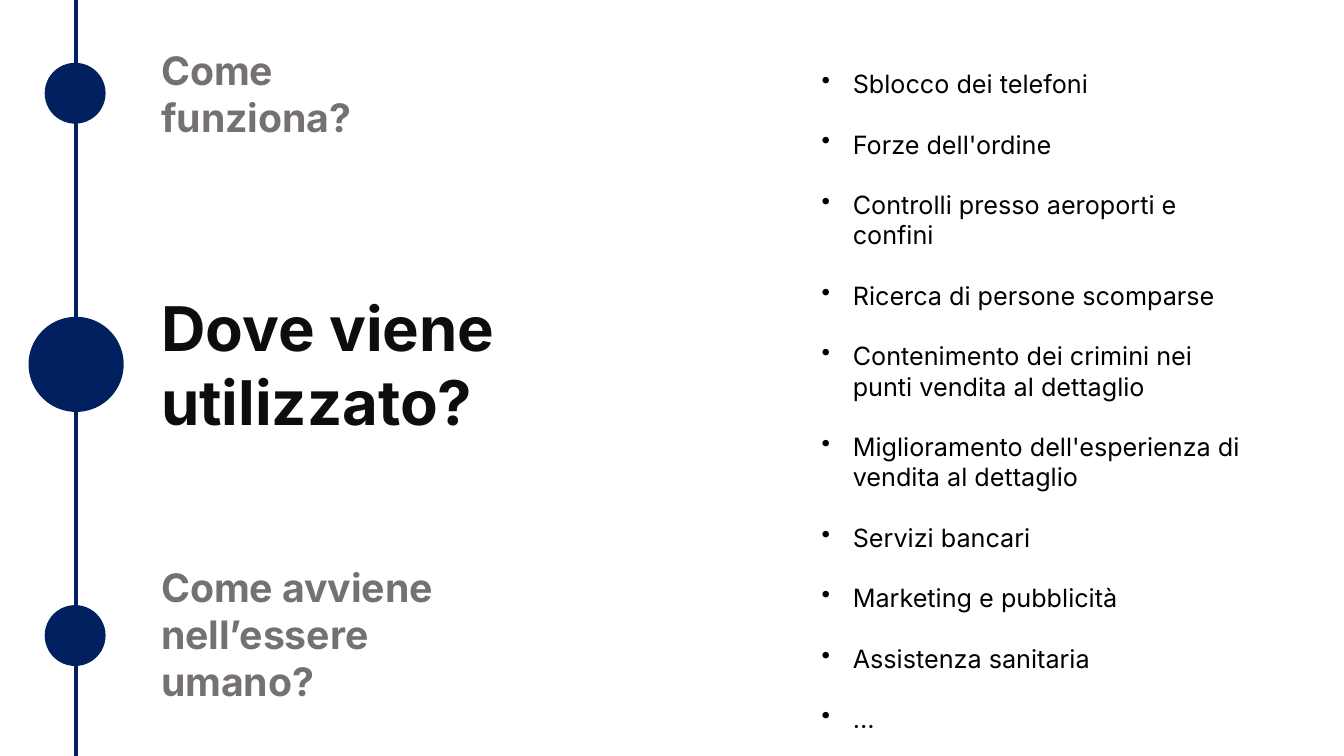
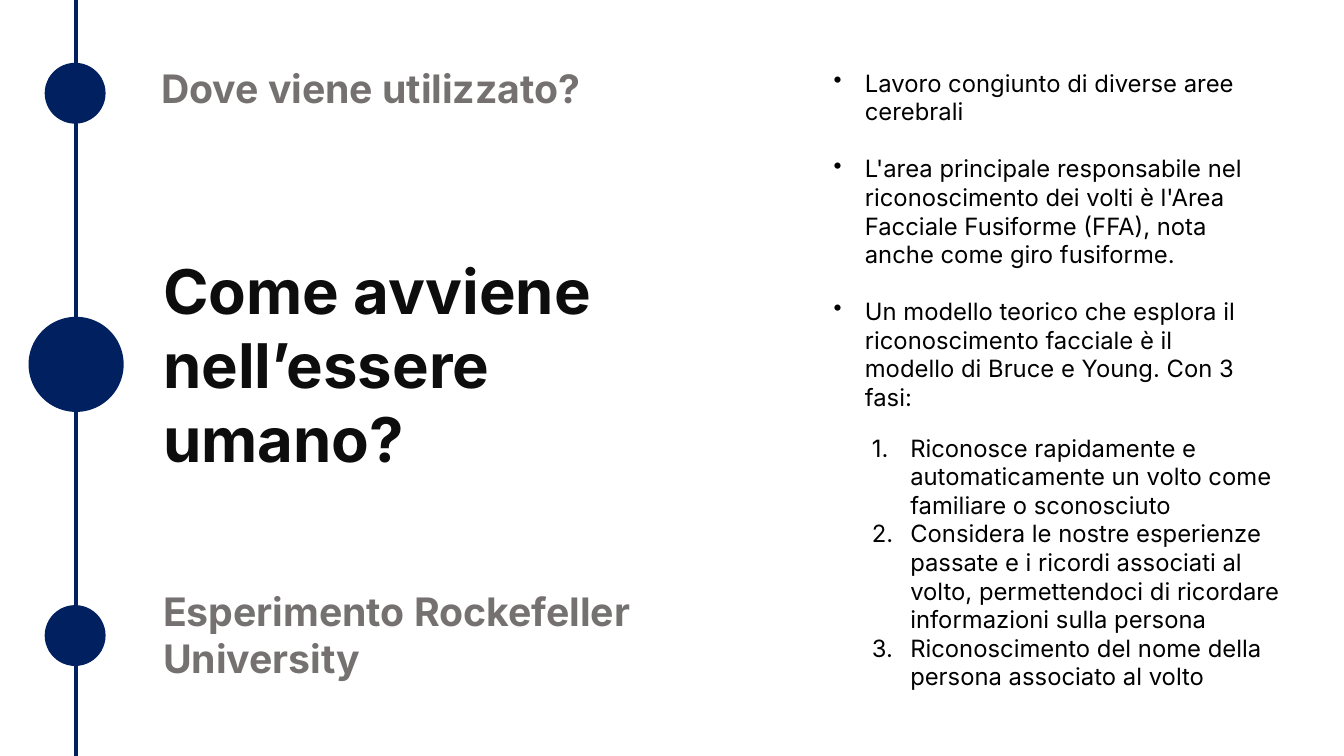
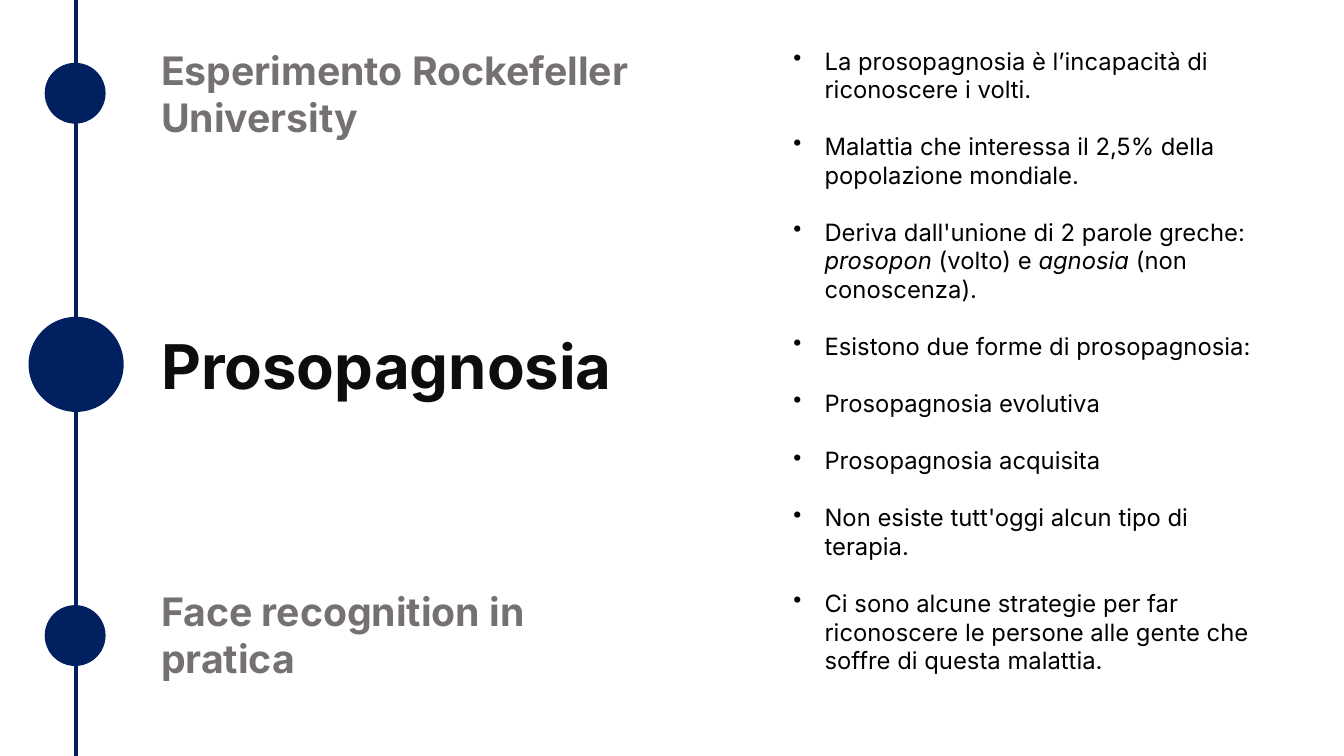
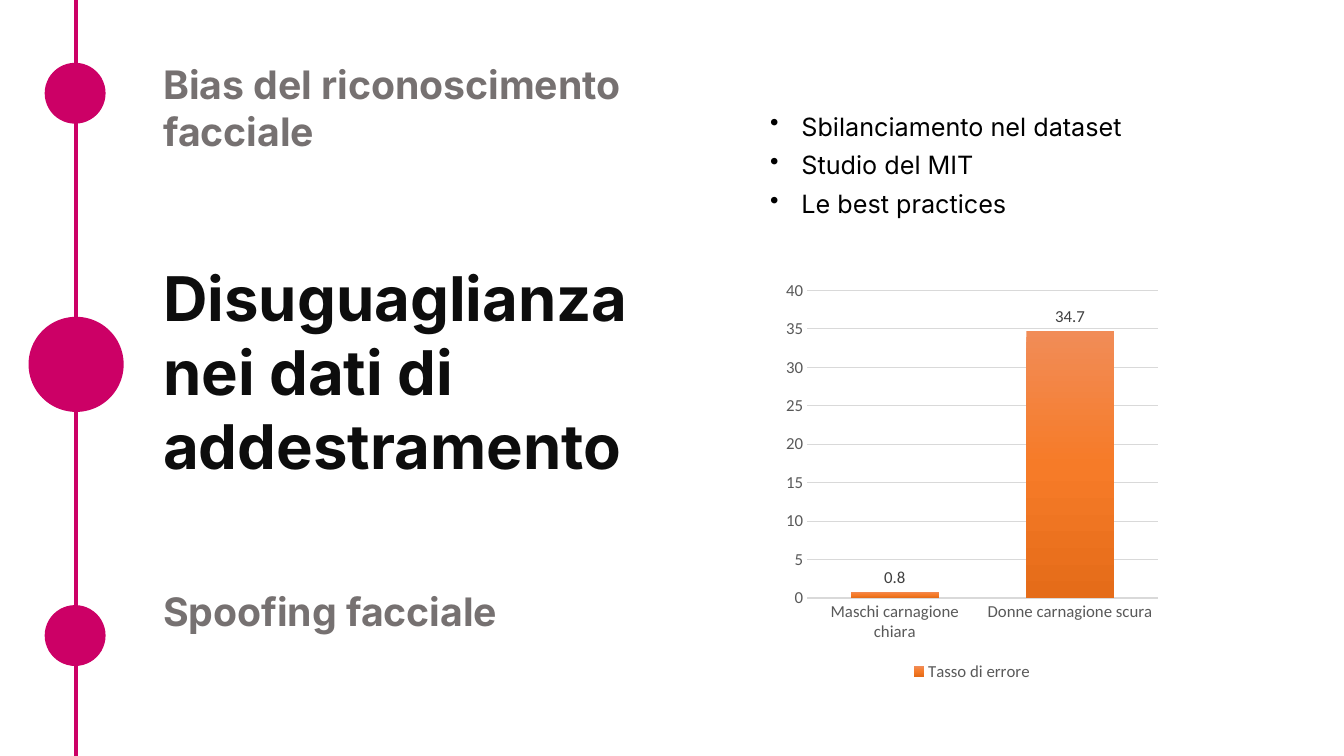
from lxml import etree
from pptx import Presentation
from pptx.chart.data import CategoryChartData
from pptx.dml.color import RGBColor
from pptx.enum.chart import XL_CHART_TYPE, XL_LABEL_POSITION, XL_LEGEND_POSITION, XL_TICK_MARK
from pptx.enum.shapes import MSO_CONNECTOR, MSO_SHAPE
from pptx.enum.text import MSO_AUTO_SIZE
from pptx.oxml.ns import qn
from pptx.util import Pt

ELLIPSE = MSO_SHAPE.OVAL
STRAIGHT = MSO_CONNECTOR.STRAIGHT
GROW = MSO_AUTO_SIZE.SHAPE_TO_FIT_TEXT
COLUMN = XL_CHART_TYPE.COLUMN_CLUSTERED
OUTSIDE_END = XL_LABEL_POSITION.OUTSIDE_END
BOTTOM = XL_LEGEND_POSITION.BOTTOM
NO_TICK = XL_TICK_MARK.NONE

EMU_PER_PX = 9144
SLIDE_WIDTH, SLIDE_HEIGHT = 1333, 750
LINE_HEIGHT = 1.2
BULLET_INDENT, NUMBER_INDENT = 31, 38
DOTS = [(29, 315, 93), (45, 601, 59), (45, 63, 59)]

COLORS = {
    "navy": "002060",
    "magenta": "CC0066",
    "neighbour": "767171",
    "current": "0D0D0D",
    "body": "000000",
    "axis_text": "595959",
    "label_text": "404040",
    "grid": "D9D9D9",
}
GRADIENT = {0: "F18C57", 50: "F67B28", 100: "E56C19"}
NEIGHBOUR = {"name": "Inter", "size": Pt(28), "bold": True, "color": "neighbour"}
CURRENT = {"name": "Inter", "size": Pt(44), "bold": True, "color": "current"}
AXIS_TEXT = {"name": "Calibri", "size": Pt(12), "color": "axis_text"}
LABEL_TEXT = {**AXIS_TEXT, "color": "label_text"}


def px(value):
    return value * EMU_PER_PX


def color(name):
    return RGBColor.from_string(COLORS[name])


def apply(target, values):
    for name, value in values.items():
        if name == "color":
            target.color.rgb = color(value)
        else:
            setattr(target, name, value)


def body(size):
    return {"name": "Inter", "size": Pt(size), "color": "body"}


def add_bullet(paragraph, numbered):
    indent = px(NUMBER_INDENT if numbered else BULLET_INDENT)
    properties = paragraph._p.get_or_add_pPr()
    properties.set("marL", str(indent))
    properties.set("indent", str(-indent))
    if numbered:
        etree.SubElement(properties, qn("a:buAutoNum"), type="arabicPeriod")
    else:
        etree.SubElement(properties, qn("a:buChar"), char="•")


def add_text(slide, box, paragraphs, font, bullets=False, numbered=False, gap=0):
    frame = slide.shapes.add_textbox(*map(px, box)).text_frame
    apply(frame, {"word_wrap": True, "auto_size": GROW})
    for index, text in enumerate(paragraphs):
        paragraph = frame.add_paragraph() if index else frame.paragraphs[0]
        if bullets or numbered:
            add_bullet(paragraph, numbered)
        if index and gap:
            paragraph.space_before = Pt(gap)
        for position, part in enumerate(text.split("*")):
            run = paragraph.add_run()
            run.text = part
            apply(run.font, font)
            if position % 2:
                run.font.italic = True


def add_bullets(slide, box, items, size):
    add_text(slide, box, items, body(size), bullets=True, gap=size * LINE_HEIGHT)


def add_timeline(slide, tint):
    for left, top, diameter in DOTS:
        dot = slide.shapes.add_shape(ELLIPSE, *map(px, (left, top, diameter, diameter)))
        dot.shadow.inherit = False
        dot.fill.solid()
        dot.fill.fore_color.rgb = color(tint)
        apply(dot.line, {"color": tint, "width": Pt(1)})
    rail = slide.shapes.add_connector(STRAIGHT, px(75), 0, px(75), px(SLIDE_HEIGHT))
    apply(rail.line, {"color": tint, "width": Pt(3)})
    etree.SubElement(rail._element.spPr, qn("a:effectLst"))


def add_topic_slide(presentation, tint, previous, current, following):
    slide = presentation.slides.add_slide(presentation.slide_layouts[6])
    add_timeline(slide, tint)
    for (box, paragraphs), font in zip((previous, current, following), (NEIGHBOUR, CURRENT, NEIGHBOUR)):
        add_text(slide, box, paragraphs, font)
    return slide


def fill_gradient(series):
    fill = series.format.fill
    fill.gradient()
    fill.gradient_angle = 270
    stops = next(series._element.iter(qn("a:gsLst")))
    for stop in list(stops):
        stops.remove(stop)
    for percent, value in GRADIENT.items():
        stop = etree.SubElement(stops, qn("a:gs"), pos=str(percent * 1000))
        etree.SubElement(stop, qn("a:srgbClr"), val=value)


def add_error_chart(slide, box):
    data = CategoryChartData()
    data.categories = ["Maschi carnagione chiara", "Donne carnagione scura"]
    data.add_series("Tasso di errore", [0.8, 34.7])
    chart = slide.shapes.add_chart(COLUMN, *map(px, box), data).chart
    apply(chart, {"has_title": False, "has_legend": True})
    apply(chart.font, AXIS_TEXT)
    apply(chart.legend, {"position": BOTTOM, "include_in_layout": False})
    apply(chart.legend.font, AXIS_TEXT)
    for axis in (chart.category_axis, chart.value_axis):
        apply(axis, {"major_tick_mark": NO_TICK, "minor_tick_mark": NO_TICK})
        apply(axis.tick_labels.font, AXIS_TEXT)
    apply(chart.category_axis.format.line, {"color": "grid", "width": Pt(1)})
    apply(chart.value_axis, {"minimum_scale": 0, "maximum_scale": 40, "major_unit": 5})
    chart.value_axis.format.line.fill.background()
    apply(chart.value_axis.major_gridlines.format.line, {"color": "grid", "width": Pt(0.75)})
    plot = chart.plots[0]
    apply(plot, {"gap_width": 100, "overlap": -24, "vary_by_categories": False, "has_data_labels": True})
    apply(plot.data_labels, {"show_value": True, "position": OUTSIDE_END})
    apply(plot.data_labels.font, LABEL_TEXT)
    fill_gradient(plot.series[0])


def add_uses(presentation):
    slide = add_topic_slide(
        presentation, "navy",
        ((150, 41, 334, 104), ["Come", "funziona?"]),
        ((150, 283, 474, 158), ["Dove viene utilizzato?"]),
        ((150, 554, 334, 151), ["Come avviene nell’essere umano?"]),
    )
    add_bullets(slide, (805, 63, 435, 677), [
        "Sblocco dei telefoni",
        "Forze dell'ordine",
        "Controlli presso aeroporti e confini",
        "Ricerca di persone scomparse",
        "Contenimento dei crimini nei punti vendita al dettaglio",
        "Miglioramento dell'esperienza di vendita al dettaglio",
        "Servizi bancari",
        "Marketing e pubblicità",
        "Assistenza sanitaria",
        "…",
    ], 18)


def add_human_recognition(presentation):
    slide = add_topic_slide(
        presentation, "navy",
        ((150, 59, 474, 57), ["Dove viene utilizzato?"]),
        ((152, 246, 557, 232), ["Come avviene nell’essere umano?"]),
        ((152, 578, 493, 104), ["Esperimento Rockefeller University"]),
    )
    add_bullets(slide, (817, 63, 434, 411), [
        "Lavoro congiunto di diverse aree cerebrali",
        "L'area principale responsabile nel riconoscimento dei volti è l'Area "
        "Facciale Fusiforme (FFA), nota anche come giro fusiforme.",
        "Un modello teorico che esplora il riconoscimento facciale è il modello "
        "di Bruce e Young. Con 3 fasi:",
    ], 17)
    add_text(slide, (855, 425, 433, 268), [
        "Riconosce rapidamente e automaticamente un volto come familiare o sconosciuto",
        "Considera le nostre esperienze passate e i ricordi associati al volto, "
        "permettendoci di ricordare informazioni sulla persona",
        "Riconoscimento del nome della persona associato al volto",
    ], body(17), numbered=True)


def add_prosopagnosia(presentation):
    slide = add_topic_slide(
        presentation, "navy",
        ((150, 41, 493, 104), ["Esperimento Rockefeller University"]),
        ((150, 320, 571, 84), ["Prosopagnosia"]),
        ((150, 578, 493, 104), ["Face recognition in pratica"]),
    )
    add_bullets(slide, (777, 41, 493, 697), [
        "La prosopagnosia è l’incapacità di riconoscere i volti.",
        "Malattia che interessa il 2,5% della popolazione mondiale.",
        "Deriva dall'unione di 2 parole greche: *prosopon* (volto) e *agnosia* (non conoscenza).",
        "Esistono due forme di prosopagnosia:",
        "Prosopagnosia evolutiva",
        "Prosopagnosia acquisita",
        "Non esiste tutt'oggi alcun tipo di terapia.",
        "Ci sono alcune strategie per far riconoscere le persone alle gente che soffre di questa malattia.",
    ], 17)


def add_training_data(presentation):
    slide = add_topic_slide(
        presentation, "magenta",
        ((152, 55, 571, 104), ["Bias del riconoscimento facciale"]),
        ((152, 253, 571, 232), ["Disuguaglianza nei dati di addestramento"]),
        ((152, 578, 571, 57), ["Spoofing facciale"]),
    )
    add_text(slide, (754, 105, 435, 118), [
        "Sbilanciamento nel dataset",
        "Studio del MIT",
        "Le best practices",
    ], body(18), bullets=True, gap=6)
    add_error_chart(slide, (772, 270, 384, 410))


def main():
    presentation = Presentation()
    apply(presentation, {"slide_width": px(SLIDE_WIDTH), "slide_height": px(SLIDE_HEIGHT)})
    add_uses(presentation)
    add_human_recognition(presentation)
    add_prosopagnosia(presentation)
    add_training_data(presentation)
    presentation.save("out.pptx")


if __name__ == "__main__":
    main()
